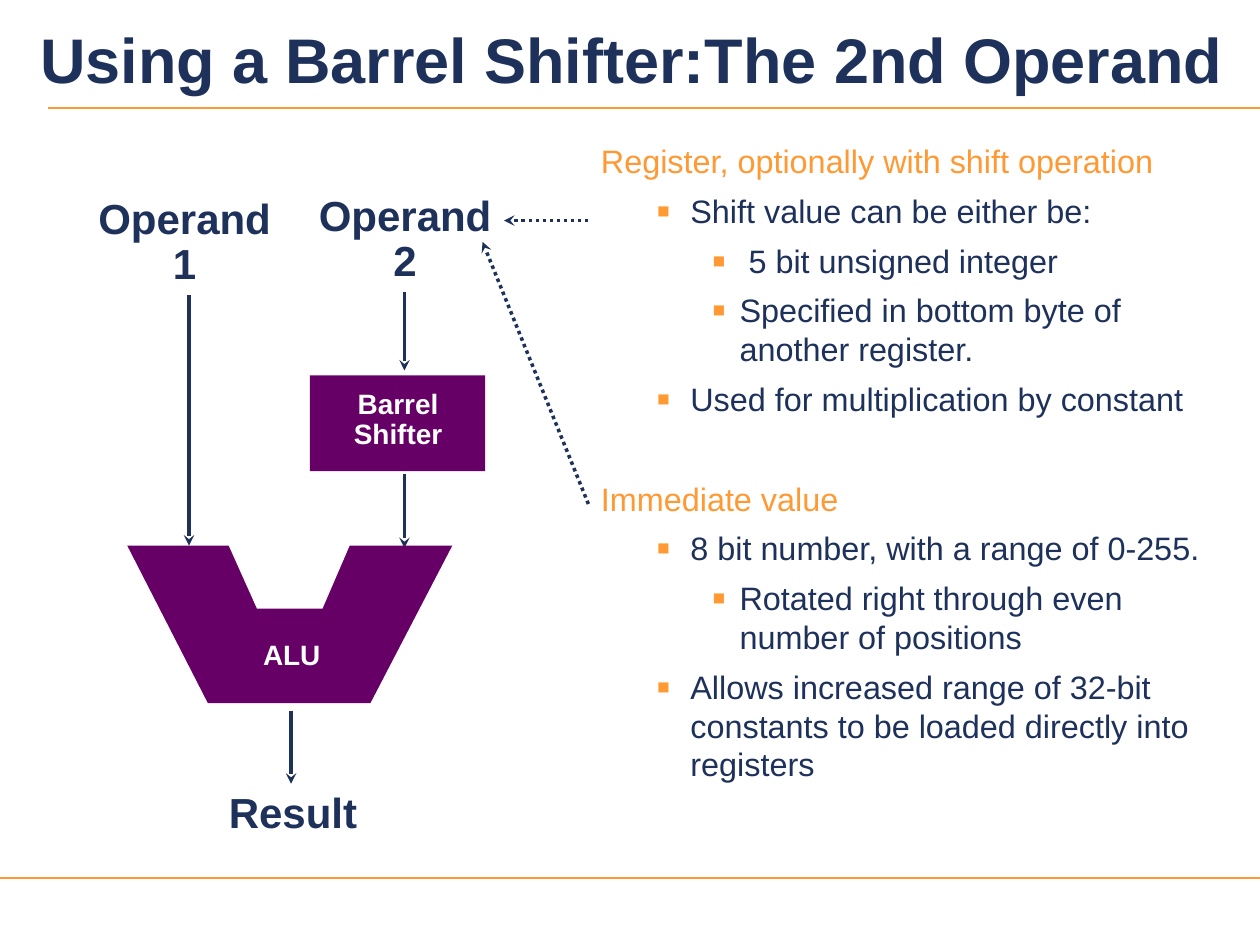
from typing import NamedTuple

from lxml import etree
from pptx import Presentation
from pptx.dml.color import RGBColor
from pptx.enum.dml import MSO_LINE
from pptx.enum.shapes import MSO_CONNECTOR, MSO_SHAPE
from pptx.enum.text import MSO_ANCHOR, MSO_AUTO_SIZE, PP_ALIGN
from pptx.oxml.ns import qn
from pptx.util import Inches, Pt

NAVY = RGBColor(0x1D, 0x31, 0x5B)
ORANGE = RGBColor(0xFF, 0x99, 0x33)
PURPLE = RGBColor(0x66, 0x00, 0x66)
WHITE = RGBColor(0xFF, 0xFF, 0xFF)
FONT = "Arial"
BODY_SIZE = 18.5
BODY_GAP = 6.2
SECTION_GAP = 34.7


class Box(NamedTuple):
    left: float
    top: float
    width: float
    height: float


class Arrow(NamedTuple):
    start: tuple[float, float]
    tip: tuple[float, float]
    dotted: bool = False


class Label(NamedTuple):
    text: str
    box: Box
    size: float = 24
    color: RGBColor = NAVY
    anchor: MSO_ANCHOR = MSO_ANCHOR.TOP
    wrap: bool = True
    fill: RGBColor | None = None


class Point(NamedTuple):
    text: str
    level: int
    space_before: float = BODY_GAP


class Indent(NamedTuple):
    margin: float
    hanging: float


INDENTS = [Indent(0.33, 0.33), Indent(0.71, 0.27), Indent(1.1, 0.22)]

RULES = [((0.38, 0.86), (10, 0.86), 1), ((0, 6.97), (10, 6.97), 1.5)]

POINTS = [
    Point("Register, optionally with shift operation", 0, 0),
    Point("Shift value can be either be:", 1),
    Point(" 5 bit unsigned integer", 2),
    Point("Specified in bottom byte of another register.", 2),
    Point("Used for multiplication by constant", 1),
    Point("Immediate value", 0, SECTION_GAP),
    Point("8 bit number, with a range of 0-255.", 1),
    Point("Rotated right through even number of positions", 2),
    Point("Allows increased range of 32-bit constants to be loaded "
          "directly into registers", 1),
]

ARROWS = [
    Arrow((4.67, 1.75), (4, 1.75), dotted=True),
    Arrow((4.67, 4), (3.83, 1.92), dotted=True),
    Arrow((1.5, 2.34), (1.5, 4.33)),
    Arrow((3.21, 2.32), (3.21, 2.94)),
    Arrow((3.21, 3.76), (3.21, 4.35)),
    Arrow((2.31, 5.64), (2.31, 6.22)),
]

SHIFTER = Box(2.46, 2.98, 1.39, 0.76)
ALU_BODY = [(1.01, 4.33), (1.65, 5.58), (2.94, 5.58), (3.59, 4.33)]
ALU_NOTCH = [(1.78, 4.25), (2.04, 4.83), (2.56, 4.83), (2.81, 4.25)]

LABELS = [
    Label("Operand 1", Box(0.67, 1.52, 1.59, 0.82)),
    Label("Operand 2", Box(2.42, 1.5, 1.59, 0.82)),
    Label("Result", Box(1.53, 6.24, 1.59, 0.46)),
    Label("Barrel\vShifter", Box(2.51, 3, 1.3, 0.67), 16, WHITE,
          MSO_ANCHOR.MIDDLE, wrap=False),
    Label("ALU", Box(1.84, 5.04, 0.95, 0.34), 16, WHITE, fill=PURPLE),
]


def add_frame(slide, box: Box, *, inset=(0.1, 0.05), anchor=MSO_ANCHOR.TOP,
              wrap=True, fill=None):
    textbox = slide.shapes.add_textbox(*map(Inches, box))
    if fill is not None:
        textbox.fill.solid()
        textbox.fill.fore_color.rgb = fill
    frame = textbox.text_frame
    frame.word_wrap = wrap
    frame.vertical_anchor = anchor
    frame.margin_left = frame.margin_right = Inches(inset[0])
    frame.margin_top = frame.margin_bottom = Inches(inset[1])
    return frame


def write(paragraph, text: str, *, size: float, color: RGBColor, bold=False,
          align=PP_ALIGN.LEFT, line_spacing=1.0, space_before=0.0) -> None:
    paragraph.text = text
    paragraph.alignment = align
    paragraph.line_spacing = line_spacing
    paragraph.space_before = Pt(space_before)
    for run in paragraph.runs:
        run.font.name = FONT
        run.font.size = Pt(size)
        run.font.bold = bold
        run.font.color.rgb = color


def set_indent(paragraph, level: int) -> None:
    margin, hanging = INDENTS[level]
    properties = paragraph._p.get_or_add_pPr()
    properties.set("marL", str(Inches(margin)))
    properties.set("indent", str(-Inches(hanging)))
    if level:
        paragraph.level = level
        bullet_color = etree.SubElement(properties, qn("a:buClr"))
        etree.SubElement(bullet_color, qn("a:srgbClr"), val=str(ORANGE))
        etree.SubElement(properties, qn("a:buSzPct"), val="125000")
        etree.SubElement(properties, qn("a:buFont"), typeface=FONT)
        etree.SubElement(properties, qn("a:buChar"), char="▪")


def add_line(slide, start, end, color: RGBColor, width: float):
    line = slide.shapes.add_connector(
        MSO_CONNECTOR.STRAIGHT, *map(Inches, (*start, *end)))
    line.line.color.rgb = color
    line.line.width = Pt(width)
    etree.SubElement(line._element.spPr, qn("a:effectLst"))
    return line


def add_arrow(slide, arrow: Arrow) -> None:
    line = add_line(slide, arrow.start, arrow.tip, NAVY, 2)
    if arrow.dotted:
        line.line.dash_style = MSO_LINE.ROUND_DOT
    etree.SubElement(line.line._get_or_add_ln(), qn("a:tailEnd"), type="stealth")


def paint(shape, color: RGBColor) -> None:
    shape.shadow.inherit = False
    shape.fill.solid()
    shape.fill.fore_color.rgb = color
    shape.line.fill.background()


def add_polygon(slide, corners: list[tuple[float, float]], color: RGBColor) -> None:
    first, *others = [(Inches(x), Inches(y)) for x, y in corners]
    builder = slide.shapes.build_freeform(*first)
    builder.add_line_segments(others, close=True)
    paint(builder.convert_to_shape(), color)


def add_label(slide, label: Label) -> None:
    frame = add_frame(slide, label.box, anchor=label.anchor, wrap=label.wrap,
                      fill=label.fill)
    if label.wrap:
        frame.auto_size = MSO_AUTO_SIZE.SHAPE_TO_FIT_TEXT
    write(frame.paragraphs[0], label.text, size=label.size, color=label.color,
          bold=True, align=PP_ALIGN.CENTER, line_spacing=0.9)


def main() -> None:
    prs = Presentation()
    prs.slide_width, prs.slide_height = Inches(10), Inches(7.5)
    slide = prs.slides.add_slide(prs.slide_layouts[6])

    # Rules under the title and above the footer
    for start, end, width in RULES:
        add_line(slide, start, end, ORANGE, width)

    # Explanation of the second operand
    body = add_frame(slide, Box(4.68, 1.08, 5.17, 5.58), inset=(0.09, 0.04))
    for index, point in enumerate(POINTS):
        paragraph = body.add_paragraph() if index else body.paragraphs[0]
        set_indent(paragraph, point.level)
        write(paragraph, point.text, size=BODY_SIZE,
              color=NAVY if point.level else ORANGE,
              space_before=point.space_before)

    # Data path: arrows, barrel shifter and ALU
    for arrow in ARROWS:
        add_arrow(slide, arrow)
    paint(slide.shapes.add_shape(MSO_SHAPE.RECTANGLE, *map(Inches, SHIFTER)), PURPLE)
    add_polygon(slide, ALU_BODY, PURPLE)
    add_polygon(slide, ALU_NOTCH, WHITE)
    for label in LABELS:
        add_label(slide, label)

    # Title
    title = add_frame(slide, Box(0.23, 0, 9.77, 0.92), inset=(0.09, 0.04),
                      anchor=MSO_ANCHOR.MIDDLE)
    write(title.paragraphs[0], "Using a Barrel Shifter:The 2nd Operand",
          size=36, color=NAVY, bold=True)

    prs.save("out.pptx")


if __name__ == "__main__":
    main()
